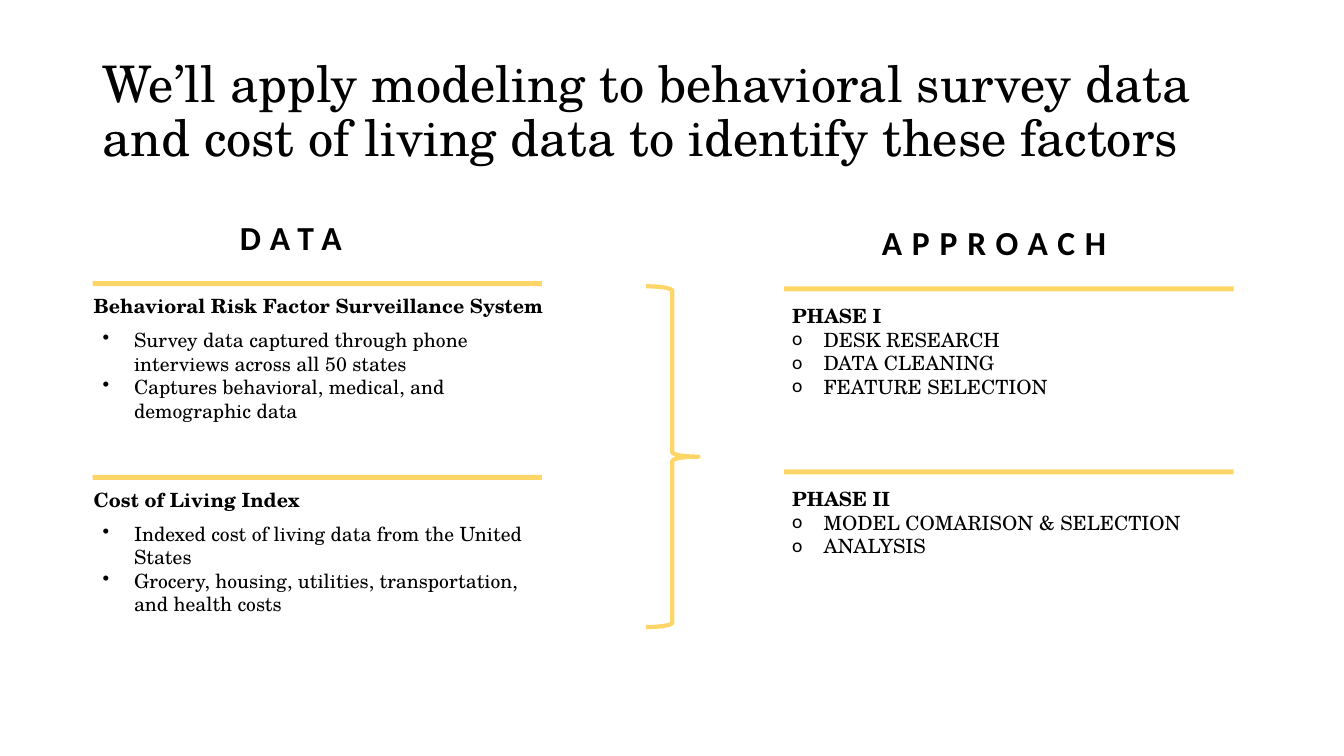
"""Build the slide on survey data, cost of living data and the modeling approach."""
from lxml import etree
from pptx import Presentation
from pptx import util as u
from pptx.dml.color import RGBColor
from pptx.enum import shapes, text
from pptx.oxml import ns


def color(value):
    return RGBColor.from_string(value)


class Slide:
    serif, sans = "TeX Gyre Schola", "Calibri"
    ink, accent = "000000", "FED668"
    rule_width, rule_height, indent = 321, 3.6, 22.5

    def __init__(self, prs):
        self.s = prs.slides.add_slide(prs.slide_layouts[6])

    def shape(self, kind, *box):
        sp = self.s.shapes.add_shape(kind, *map(u.Pt, box))
        sp.shadow.inherit = False
        return sp

    def rule(self, x, y):
        sp = self.shape(shapes.MSO_SHAPE.RECTANGLE, x, y, self.rule_width, self.rule_height)
        sp.fill.solid()
        sp.fill.fore_color.rgb = color(self.accent)
        sp.line.fill.background()

    def brace(self, *box):
        sp = self.shape(shapes.MSO_SHAPE.RIGHT_BRACE, *box)
        sp.fill.background()
        sp.line.color.rgb = color(self.accent)
        sp.line.width = u.Pt(3)

    def textbox(self, lines, *box):
        tf = self.s.shapes.add_textbox(*map(u.Pt, box)).text_frame
        tf.word_wrap = True
        tf.text = "\n".join(lines)
        return tf

    def style(self, p, size, font=None, bold=False):
        for r in p.runs:
            r.font.size = u.Pt(size)
            r.font.name = font or self.serif
            r.font.bold = bold
            r.font.color.rgb = color(self.ink)

    def bullet(self, p, char):
        pPr = p._p.get_or_add_pPr()
        pPr.set("marL", str(u.Pt(self.indent)))
        pPr.set("indent", str(-u.Pt(self.indent)))
        if char == "o":
            etree.SubElement(pPr, ns.qn("a:buFont")).set("typeface", self.sans)
        etree.SubElement(pPr, ns.qn("a:buChar")).set("char", char)

    def title(self, line, *box):
        tf = self.textbox([line], *box)
        tf.vertical_anchor = text.MSO_ANCHOR.MIDDLE
        tf.paragraphs[0].line_spacing = 0.9
        self.style(tf.paragraphs[0], 36)

    def heading(self, line, *box):
        p = self.textbox([line], *box).paragraphs[0]
        self.style(p, 24, self.sans, True)
        p.runs[0]._r.get_or_add_rPr().set("spc", "700")

    def label(self, line, *box):
        self.style(self.textbox([line], *box).paragraphs[0], 14, bold=True)

    def bullets(self, lines, char, *box, headed=False):
        for i, p in enumerate(self.textbox(lines, *box).paragraphs):
            is_head = headed and i == 0
            if not is_head:
                self.bullet(p, char)
            self.style(p, 14, bold=is_head)


def main():
    prs = Presentation()
    prs.slide_width, prs.slide_height = u.Pt(960), u.Pt(540)
    s = Slide(prs)
    s.title("We’ll apply modeling to behavioral survey data and cost of living data "
            "to identify these factors", 66.2, 28.8, 828, 104.4)

    s.heading("DATA", 164.2, 151.2, 103, 36)
    sources = [
        (200.9, "Behavioral Risk Factor Surveillance System",
         ["Survey data captured through phone interviews across all 50 states",
          "Captures behavioral, medical, and demographic data"]),
        (339.1, "Cost of Living Index",
         ["Indexed cost of living data from the United States",
          "Grocery, housing, utilities, transportation, and health costs"]),
    ]
    for y, name, facts in sources:
        s.rule(66.2, y)
        s.label(name, 59.8, y + 5.8, 414, 24.5)
        s.bullets(facts, "•", 66.2, y + 30, s.rule_width, 75)

    s.brace(461.5, 204.5, 37.4, 243.4)

    s.heading("APPROACH", 622.8, 154.8, 240, 36)
    phases = [
        (204.5, 108.7, ["PHASE I", "DESK RESEARCH", "DATA CLEANING", "FEATURE SELECTION"]),
        (335.3, 58.3, ["PHASE II", "MODEL COMARISON & SELECTION", "ANALYSIS"]),
    ]
    for y, height, steps in phases:
        s.rule(560.2, y)
        s.bullets(steps, "o", 558.7, y + 9, 367, height, headed=True)

    prs.save("out.pptx")


if __name__ == "__main__":
    main()
